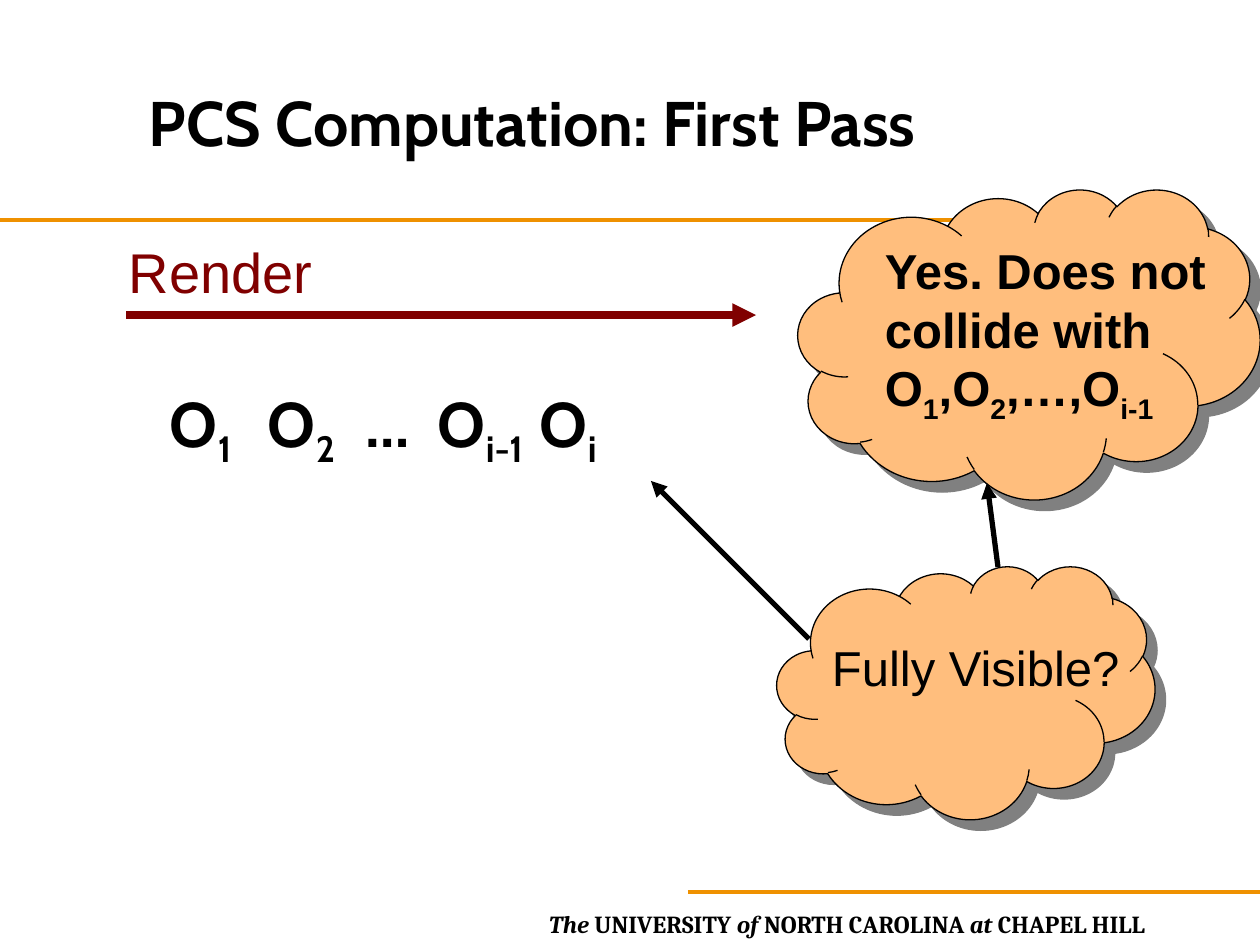
from dataclasses import dataclass

from lxml import etree
from pptx import Presentation
from pptx.dml.color import RGBColor
from pptx.enum.shapes import MSO_CONNECTOR, MSO_SHAPE
from pptx.enum.text import MSO_ANCHOR
from pptx.oxml import parse_xml
from pptx.oxml.ns import nsdecls, qn
from pptx.util import Emu, Pt

CLOUD = MSO_SHAPE.CLOUD
STRAIGHT = MSO_CONNECTOR.STRAIGHT
TOP, MIDDLE = MSO_ANCHOR.TOP, MSO_ANCHOR.MIDDLE


@dataclass(frozen=True)
class Theme:
    """Colours, fonts and type sizes of the slide."""
    ink: str = "000000"
    rule: str = "EF9100"
    render: str = "800000"
    cloud: str = "FFBE7D"
    shade: str = "808080"
    heading: str = "Cabin"
    body: str = "Arial"
    footer: str = "Cambria"
    big: int = 36
    label: int = 32
    note: int = 28
    small: int = 14


T = Theme()


def px(n):
    """Turn slide pixels into EMU."""
    return Emu(round(n * 914400 / 126))


def add_text(s, box, runs, size, font, color=T.ink, bold=False, anchor=TOP, inset=13, tabs=()):
    """Add a text box whose runs are (text, style) pairs; style is '', 'sub' or 'italic'."""
    tf = s.shapes.add_textbox(*map(px, box)).text_frame
    tf.word_wrap = True
    tf.vertical_anchor = anchor
    tf.margin_left = px(inset)
    p = tf.paragraphs[0]
    if tabs:
        tab_list = etree.SubElement(p._p.get_or_add_pPr(), qn("a:tabLst"))
        for tab in tabs:
            etree.SubElement(tab_list, qn("a:tab"), pos=str(px(tab)), algn="l")
    for text, style in runs:
        r = p.add_run()
        r.text = text
        r.font.size = Pt(size)
        r.font.name = font
        r.font.bold = bold
        r.font.italic = style == "italic"
        r.font.color.rgb = RGBColor.from_string(color)
        if style == "sub":
            r.font._element.set("baseline", "-25000")


def add_line(s, start, end, color, width, arrow=False):
    """Draw a straight line, with an arrowhead at its end if asked."""
    c = s.shapes.add_connector(STRAIGHT, *map(px, (*start, *end)))
    c.line.color.rgb = RGBColor.from_string(color)
    c.line.width = Pt(width)
    if arrow:
        etree.SubElement(c.line._get_or_add_ln(), qn("a:tailEnd"), type="triangle")
    etree.SubElement(c._element.spPr, qn("a:effectLst"))


def add_cloud(s, box):
    """Draw a cloud with a hard shadow to its lower right."""
    sp = s.shapes.add_shape(CLOUD, *map(px, box))
    sp.fill.solid()
    sp.fill.fore_color.rgb = RGBColor.from_string(T.cloud)
    sp.line.color.rgb = RGBColor.from_string(T.ink)
    sp.line.width = Pt(0.75)
    sp._element.spPr.append(parse_xml(
        f'<a:effectLst {nsdecls("a")}><a:outerShdw dist="{Pt(8.5)}" dir="2700000" '
        f'algn="ctr" rotWithShape="0"><a:srgbClr val="{T.shade}"/></a:outerShdw></a:effectLst>'))


def add_header(s, x, y, w, h):
    """Place the title and the rule beneath it."""
    add_line(s, (x, y + h), (x + w, y + h), T.rule, 2)
    add_text(s, (x + 136, y + 63, 1018, 116), [("PCS Computation: First Pass", "")],
             T.big, T.heading, bold=True, anchor=MIDDLE)


def add_footer(s, x, y, w, h):
    """Place the university line and the rule above it."""
    add_line(s, (x + 152, y), (x + w, y), T.rule, 2)
    runs = [("The", "italic"), (" UNIVERSITY ", ""), ("of ", "italic"),
            ("NORTH CAROLINA ", ""), ("at ", "italic"), ("CHAPEL HILL", "")]
    add_text(s, (x, y + 11, w, h - 11), runs, T.small, T.footer, bold=True)


def add_objects(s, x, y, w, h):
    """Place the row of objects on tab stops."""
    runs = [("O", ""), ("1", "sub"), ("\tO", ""), ("2", "sub"), ("\t…\tO", ""),
            ("i-1", "sub"), ("\tO", ""), ("i", "sub")]
    add_text(s, (x, y, w, h), runs, T.big, T.heading, bold=True,
             inset=97, tabs=(98, 196, 268, 370))


def add_render(s, x, y, w, h):
    """Place the render label over its arrow."""
    add_line(s, (x, y + h), (x + w, y + h), T.render, 4.5, arrow=True)
    add_text(s, (x - 10, y, 388, 81), [("Render", "")], T.label, T.body, T.render)


def add_question(s, x, y, w, h):
    """Place the question cloud with its arrow to the objects."""
    add_cloud(s, (x, y, w, h))
    add_line(s, (x + 32, y + 73), (x - 126, y - 85), T.ink, 3, arrow=True)
    add_text(s, (x + 42, y + 65, 325, 72), [("Fully Visible?", "")], T.note, T.body)


def add_answer(s, x, y, w, h):
    """Place the answer cloud with the arrow that leads to it."""
    add_cloud(s, (x, y, w, h))
    add_line(s, (x + 200, y + 378), (x + 189, y + 294), T.ink, 3, arrow=True)
    runs = [("Yes. Does not collide with O", ""), ("1", "sub"), (",O", ""),
            ("2", "sub"), (",…,O", ""), ("i-1", "sub")]
    add_text(s, (x + 74, y + 45, 388, 198), runs, T.note, T.body, bold=True)


def main():
    """Build the slide and save it."""
    prs = Presentation()
    prs.slide_width, prs.slide_height = px(1260), px(945)
    s = prs.slides.add_slide(prs.slide_layouts[6])
    add_header(s, 0, 0, 1166, 220)
    add_footer(s, 536, 892, 724, 54)
    add_objects(s, 73, 378, 620, 147)
    add_question(s, 777, 566, 378, 253)
    add_render(s, 126, 231, 630, 84)
    add_answer(s, 798, 189, 462, 310)
    prs.save("out.pptx")


if __name__ == "__main__":
    main()
